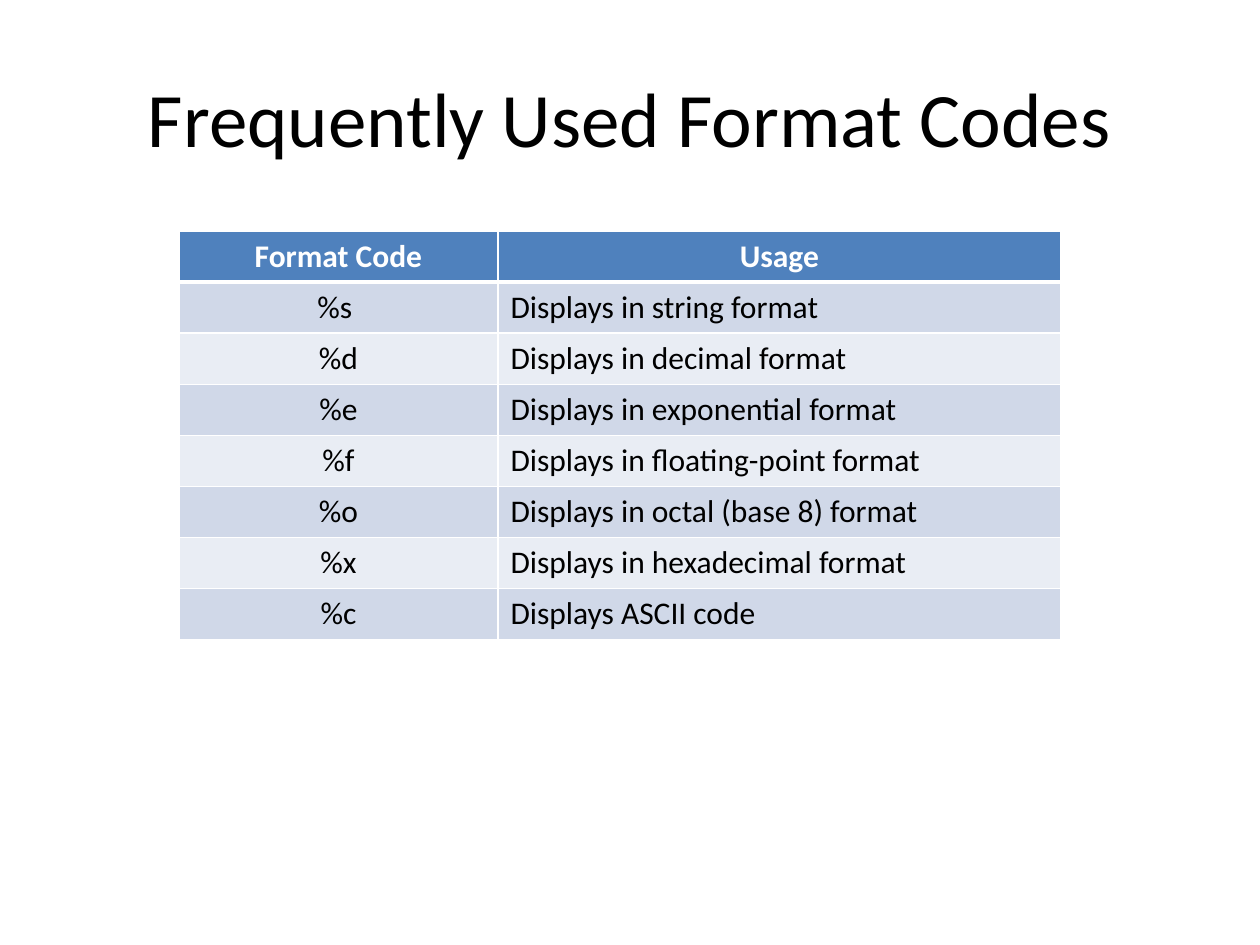
"""Build a slide with a table of frequently used format codes."""
from dataclasses import dataclass

from lxml.etree import SubElement
from pptx import Presentation
from pptx.dml.color import RGBColor
from pptx.enum.text import MSO_ANCHOR, PP_ALIGN
from pptx.oxml.ns import qn
from pptx.util import Emu, Inches, Pt

SCALE = 914400 / 126
FONT = "Calibri"
BLACK = RGBColor(0x00, 0x00, 0x00)
WHITE = RGBColor(0xFF, 0xFF, 0xFF)
HEADER_BLUE = RGBColor(0x4F, 0x81, 0xBD)
BANDS = (RGBColor(0xE9, 0xED, 0xF4), RGBColor(0xD0, 0xD8, 0xE8))
COLUMN_WIDTHS = (319, 563)


@dataclass(frozen=True)
class FormatCode:
    code: str
    usage: str


ROWS = (
    FormatCode("Format Code", "Usage"),
    FormatCode("%s ", "Displays in string format"),
    FormatCode("%d", "Displays in decimal format"),
    FormatCode("%e", "Displays in exponential format"),
    FormatCode("%f", "Displays in floating-point format"),
    FormatCode("%o", "Displays in octal (base 8) format"),
    FormatCode("%x", "Displays in hexadecimal format"),
    FormatCode("%c", "Displays ASCII code"),
)


def px(value: int) -> Emu:
    return Emu(round(value * SCALE))


def write(tf, text: str, align: PP_ALIGN, color: RGBColor, **font) -> None:
    p = tf.paragraphs[0]
    p.alignment = align
    r = p.add_run()
    r.text = text
    for name, value in {"name": FONT, **font}.items():
        setattr(r.font, name, value)
    r.font.color.rgb = color


def add_borders(cell, widths: dict[str, int]) -> None:
    tc_pr = cell._tc.get_or_add_tcPr()
    for i, (side, width) in enumerate(widths.items()):
        ln = SubElement(tc_pr, qn(f"a:ln{side}"), w=str(Pt(width)))
        fill = SubElement(ln, qn("a:solidFill"))
        SubElement(fill, qn("a:srgbClr"), val=str(WHITE))
        tc_pr.insert(i, ln)


def add_title(s) -> None:
    title = s.shapes.title
    box = {"left": 63, "top": 38, "width": 1134, "height": 158}
    for name, value in box.items():
        setattr(title, name, px(value))
    tf = title.text_frame
    tf.vertical_anchor = MSO_ANCHOR.MIDDLE
    write(tf, "Frequently Used Format Codes", PP_ALIGN.CENTER, BLACK, size=Pt(44))


def add_code_table(s) -> None:
    table = s.shapes.add_table(
        len(ROWS), len(COLUMN_WIDTHS), px(179), px(231), px(sum(COLUMN_WIDTHS)), px(403)
    ).table
    for column, width in zip(table.columns, COLUMN_WIDTHS):
        column.width = px(width)
    for i, row in enumerate(ROWS):
        header = i == 0
        borders = {"L": 1, "R": 1, "T": 3 if i == 1 else 1, "B": 3 if header else 1}
        for j, text in enumerate((row.code, row.usage)):
            cell = table.cell(i, j)
            cell.fill.solid()
            cell.fill.fore_color.rgb = HEADER_BLUE if header else BANDS[i % 2]
            add_borders(cell, borders)
            align = PP_ALIGN.CENTER if header or j == 0 else PP_ALIGN.LEFT
            color = WHITE if header else BLACK
            write(cell.text_frame, text, align, color, size=Pt(18), bold=header)


def main() -> None:
    prs = Presentation()
    prs.slide_width, prs.slide_height = Inches(10), Inches(7.5)
    s = prs.slides.add_slide(prs.slide_layouts[5])
    add_title(s)
    add_code_table(s)
    prs.save("out.pptx")


main()
